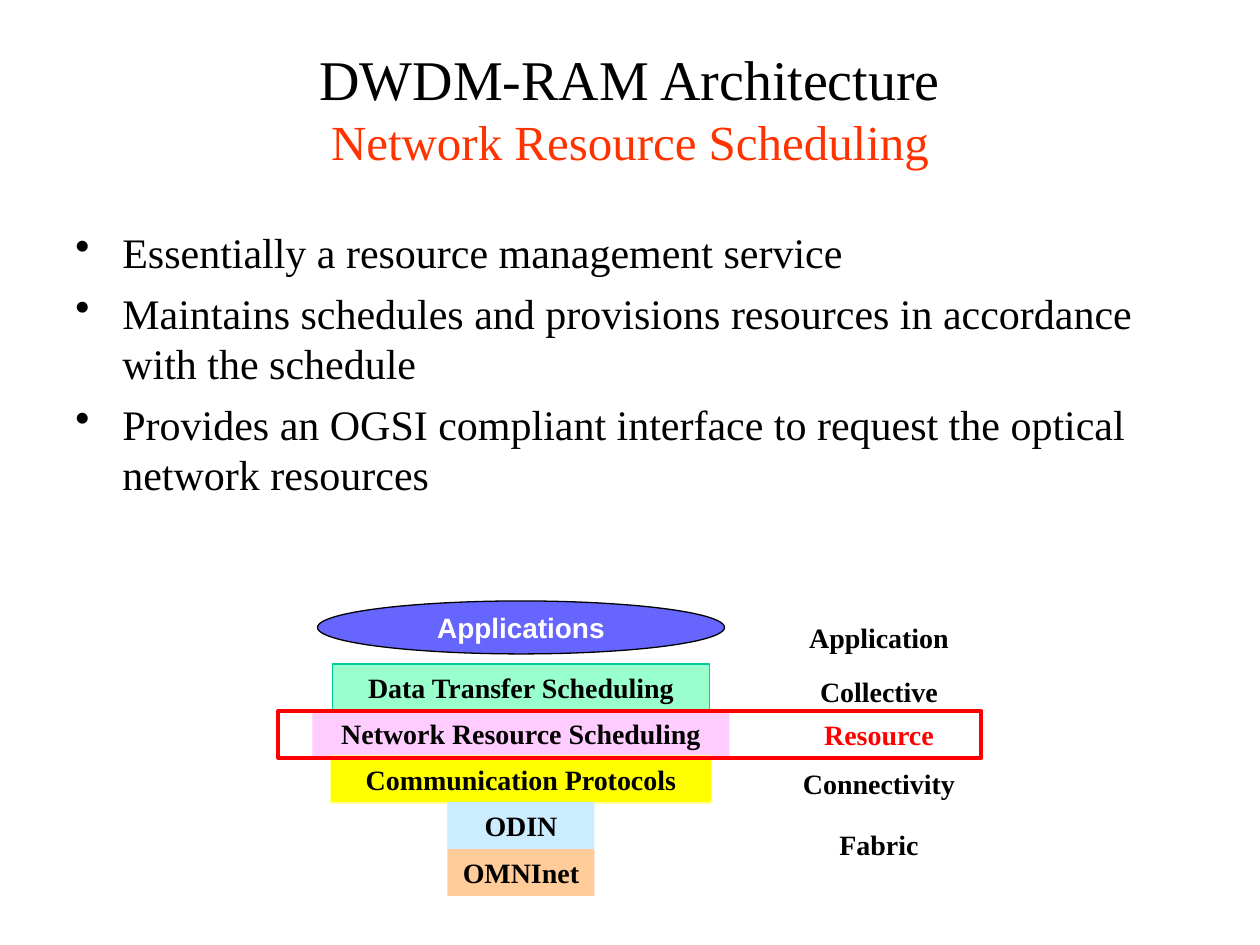
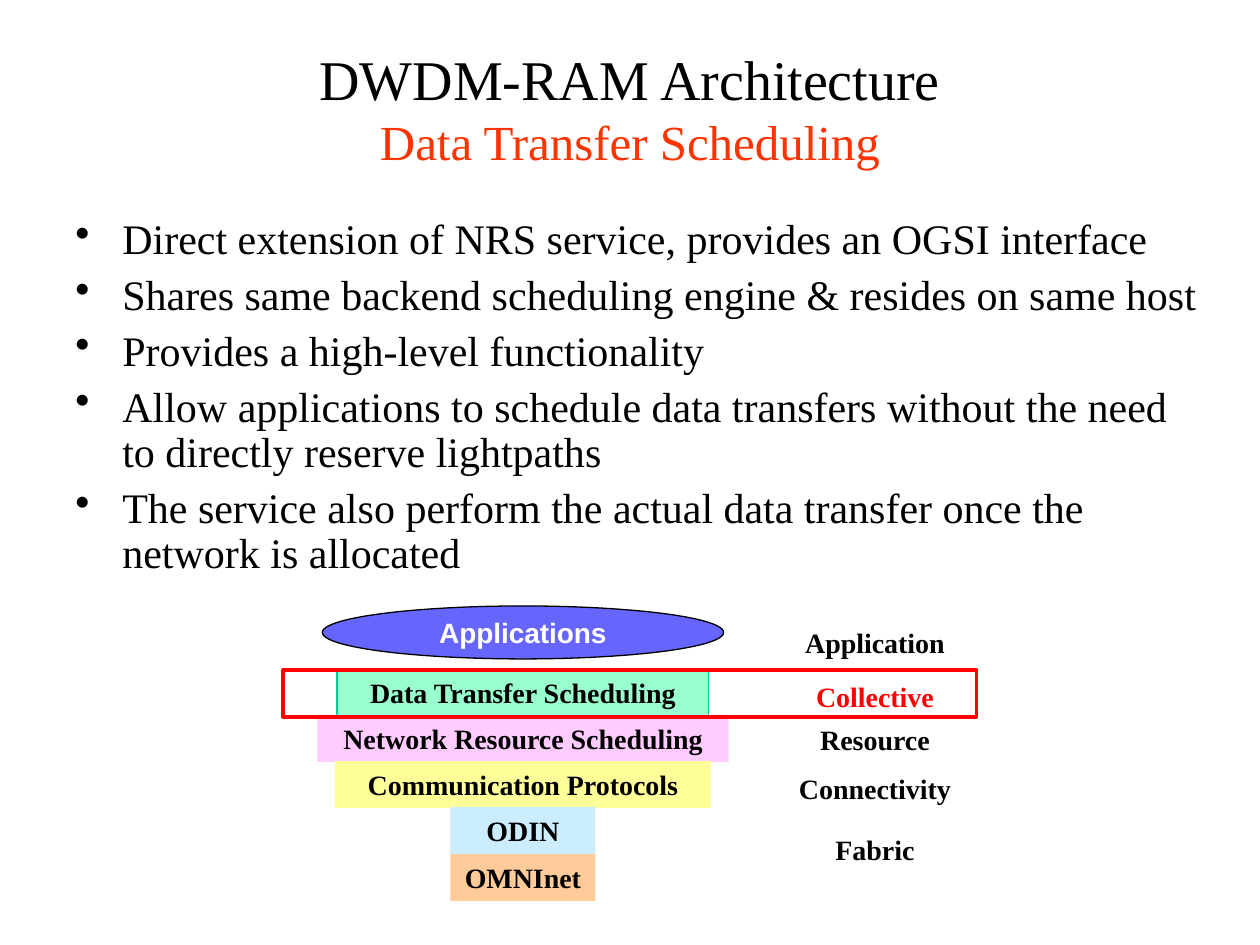
from lxml import etree
from pptx import Presentation
from pptx.dml.color import RGBColor
from pptx.enum import shapes, text
from pptx.oxml import ns
from pptx.util import Pt

PX = 914400 / 126
SERIF, SANS = "Times New Roman", "Arial"
BLACK, WHITE, RED, ORANGE = "000000", "FFFFFF", "FF0000", "FF3300"
LABEL = {"name": SERIF, "size": Pt(16), "bold": True}
ROW_H = 47
RECT, OVAL = shapes.MSO_SHAPE.RECTANGLE, shapes.MSO_SHAPE.OVAL

prs = Presentation()
prs.slide_width, prs.slide_height = round(1260 * PX), round(945 * PX)


def add_box(s, kind, box, fill=None, line=None, weight=0.75):
    x, y, w, h = (round(v * PX) for v in box)
    if kind is None:
        sp = s.shapes.add_textbox(x, y, w, h)
    else:
        sp = s.shapes.add_shape(kind, x, y, w, h)
        sp.shadow.inherit = False
        if fill:
            sp.fill.solid()
            sp.fill.fore_color.rgb = RGBColor.from_string(fill)
        else:
            sp.fill.background()
        if line:
            sp.line.color.rgb = RGBColor.from_string(line)
            sp.line.width = Pt(weight)
        else:
            sp.line.fill.background()
    tf = sp.text_frame
    tf.word_wrap = kind is None
    tf.vertical_anchor = text.MSO_ANCHOR.MIDDLE if kind == OVAL else text.MSO_ANCHOR.TOP
    tf.paragraphs[0].alignment = text.PP_ALIGN.CENTER
    return tf


def add_run(p, words, color, fmt):
    r = p.add_run()
    r.text = words
    for key, value in fmt.items():
        setattr(r.font, key, value)
    r.font.color.rgb = RGBColor.from_string(color)


slides = [
    {
        "subtitle": "Network Resource Scheduling",
        "bullets": [
            "Essentially a resource management service",
            "Maintains schedules and provisions resources in accordance with the schedule",
            "Provides an OGSI compliant interface to request the optical network resources",
        ],
        "body": (63, 220, 1134, 316), "spacing": None,
        "scale": 1, "center": 521, "label_center": 879, "top": 601,
        "protocols": ("FFFF00", "FFFF99"), "active": "Resource", "active_row": 1,
    },
    {
        "subtitle": "Data Transfer Scheduling",
        "bullets": [
            "Direct extension of NRS service, provides an OGSI interface",
            "Shares same backend scheduling engine & resides on same host",
            "Provides a high-level functionality",
            "Allow applications to schedule data transfers without the need to directly reserve lightpaths",
            "The service also perform the actual data transfer once the network is allocated",
        ],
        "body": (63, 212, 1148, 393), "spacing": 0.9,
        "scale": 0.986, "center": 523, "label_center": 875, "top": 606,
        "protocols": ("FFFF99", None), "active": "Collective", "active_row": 0,
    },
]
labels = [("Application", 13), ("Collective", 67), ("Resource", 110),
          ("Connectivity", 159), ("Fabric", 220)]

for d in slides:
    s = prs.slides.add_slide(prs.slide_layouts[6])
    p = add_box(s, None, (63, 38, 1134, 157)).paragraphs[0]
    add_run(p, "DWDM-RAM Architecture", BLACK, {"name": SERIF, "size": Pt(32)})
    p.add_line_break()
    add_run(p, d["subtitle"], ORANGE, {"name": SERIF, "size": Pt(28)})

    tf = add_box(s, None, d["body"])
    for i, words in enumerate(d["bullets"]):
        p = tf.add_paragraph() if i else tf.paragraphs[0]
        p.alignment = text.PP_ALIGN.LEFT
        p.line_spacing = d["spacing"]
        p.space_before = Pt(6 if i else 0)
        pPr = p._p.get_or_add_pPr()
        pPr.set("marL", str(round(47 * PX)))
        pPr.set("indent", str(round(-47 * PX)))
        etree.SubElement(pPr, ns.qn("a:buChar")).set("char", "•")
        add_run(p, words, BLACK, {"name": SERIF, "size": Pt(24)})

    k, cx, top = d["scale"], d["center"], d["top"]
    tf = add_box(s, OVAL, (cx - 407 * k / 2, top, 407 * k, 53), "6666FF", BLACK)
    add_run(tf.paragraphs[0], "Applications", WHITE, {**LABEL, "name": SANS})

    layers = [
        ("Data Transfer Scheduling", 377, "99FFCC", "00CC99"),
        ("Network Resource Scheduling", 417, "FFCCFF", None),
        ("Communication Protocols", 381, *d["protocols"]),
        ("ODIN", 147, "CCECFF", None),
        ("OMNInet", 147, "FFCC99", None),
    ]
    row_tops = [top + 63 + i * 185 // 4 for i in range(len(layers))]
    for (words, w, fill, line), y in zip(layers, row_tops):
        tf = add_box(s, RECT, (cx - w * k / 2, y, w * k, ROW_H), fill, line)
        add_run(tf.paragraphs[0], words, BLACK, LABEL)

    for words, dy in labels:
        tf = add_box(s, None, (d["label_center"] - 92 * k, top + dy, 184 * k, ROW_H))
        add_run(tf.paragraphs[0], words, RED if words == d["active"] else BLACK, LABEL)

    w = 703 * k
    add_box(s, RECT, (630 - w / 2, row_tops[d["active_row"]] + 1, w, ROW_H), line=RED, weight=2.25)

prs.save("out.pptx")
